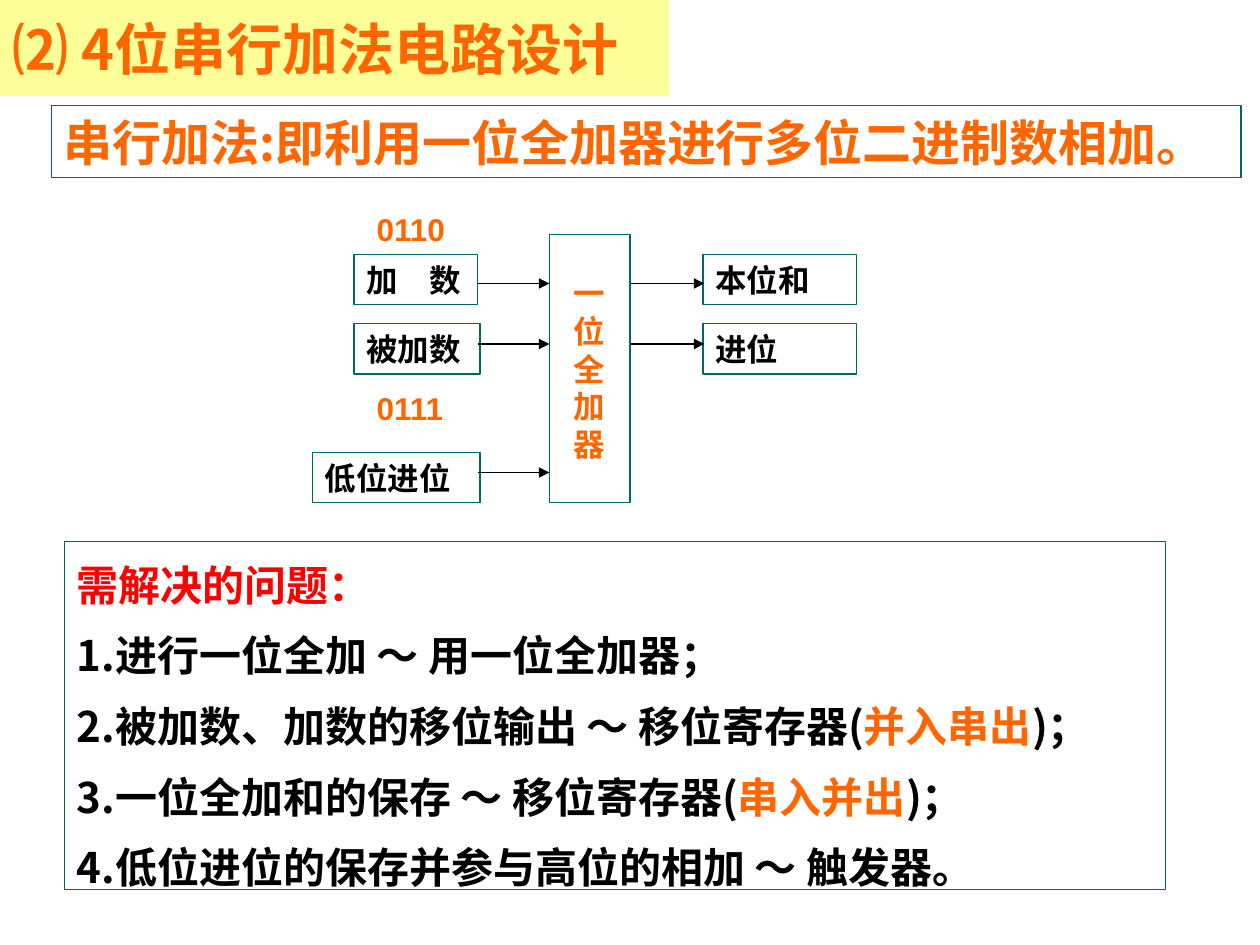
from pptx import Presentation
from pptx.dml.color import RGBColor
from pptx.enum.shapes import MSO_CONNECTOR, MSO_SHAPE
from pptx.enum.text import MSO_ANCHOR, PP_ALIGN
from pptx.oxml.ns import qn
from pptx.util import Inches, Pt

CJK_FONT, LATIN_FONT = "Noto Sans CJK SC", "Arial"
ORANGE, RED, BLACK = "FF6600", "FF0000", "000000"
TEAL, YELLOW = "006666", "FFFF99"

TITLE = "⑵ 4位串行加法电路设计"
DEFINITION = "串行加法:即利用一位全加器进行多位二进制数相加。"
PROBLEMS = [
    [("需解决的问题：", RED)],
    [("1.进行一位全加 ～ 用一位全加器；", BLACK)],
    [("2.被加数、加数的移位输出 ～ 移位寄存器(", BLACK), ("并入串出", ORANGE), (")；", BLACK)],
    [("3.一位全加和的保存 ～ 移位寄存器(", BLACK), ("串入并出", ORANGE), (")；", BLACK)],
    [("4.低位进位的保存并参与高位的相加 ～ 触发器。", BLACK)],
]

ADDER = ("一位全加器", (4.36, 1.86, 0.64, 2.13))
SIGNAL_HEIGHT = 0.4
SIGNALS = [  # label, left, top, width
    ("加　数", 2.81, 2.02, 0.98),
    ("被加数", 2.81, 2.57, 1),
    ("低位进位", 2.48, 3.59, 1.33),
    ("本位和", 5.58, 2.02, 1.22),
    ("进位", 5.58, 2.57, 1.22),
]
OPERANDS = [("0110", 1.62), ("0111", 3.04)]  # value, top
INPUT_SPAN, INPUT_ROWS = (3.79, 4.36), (2.25, 2.73, 3.75)
OUTPUT_SPAN, OUTPUT_ROWS = (5.01, 5.59), (2.25, 2.73)


def color(value):
    return RGBColor.from_string(value)


def write(shape, paragraphs, size, font=LATIN_FONT, anchor=MSO_ANCHOR.TOP,
          align=PP_ALIGN.LEFT, spacing=None, wrap=True):
    """Fill a shape with paragraphs, each a list of (text, colour) runs."""
    frame = shape.text_frame
    frame.word_wrap = wrap
    frame.vertical_anchor = anchor
    for index, runs in enumerate(paragraphs):
        paragraph = frame.add_paragraph() if index else frame.paragraphs[0]
        paragraph.alignment = align
        if spacing:
            paragraph.line_spacing = spacing
        for text, run_color in runs:
            run = paragraph.add_run()
            run.text = text
            run.font.size = Pt(size)
            run.font.bold = True
            run.font.name = font
            run.font.color.rgb = color(run_color)
            east_asian = run.font._element.makeelement(qn("a:ea"), {"typeface": CJK_FONT})
            run.font._element.find(qn("a:latin")).addnext(east_asian)


def add_box(slide, bounds, fill=None, line=TEAL):
    shape = slide.shapes.add_shape(MSO_SHAPE.RECTANGLE, *map(Inches, bounds))
    shape.shadow.inherit = False
    if fill:
        shape.fill.solid()
        shape.fill.fore_color.rgb = color(fill)
    else:
        shape.fill.background()
    if line:
        shape.line.color.rgb = color(line)
        shape.line.width = Pt(0.75)
    else:
        shape.line.fill.background()
    return shape


def add_arrow(slide, span, y):
    start, end = span
    arrow = slide.shapes.add_connector(
        MSO_CONNECTOR.STRAIGHT, Inches(start), Inches(y), Inches(end), Inches(y))
    arrow.line.color.rgb = color(BLACK)
    arrow.line.width = Pt(0.75)
    properties = arrow._element.spPr
    line = arrow.line._get_or_add_ln()
    line.append(line.makeelement(qn("a:tailEnd"), {"type": "triangle"}))
    properties.append(properties.makeelement(qn("a:effectLst"), {}))


def main():
    presentation = Presentation()
    presentation.slide_width, presentation.slide_height = Inches(10), Inches(7.5)
    slide = presentation.slides.add_slide(presentation.slide_layouts[6])

    title = add_box(slide, (0, 0, 5.31, 0.76), fill=YELLOW, line=None)
    write(title, [[(TITLE, ORANGE)]], 32, CJK_FONT, MSO_ANCHOR.MIDDLE)
    problems = add_box(slide, (0.51, 4.3, 8.74, 2.76))
    write(problems, PROBLEMS, 24, CJK_FONT, MSO_ANCHOR.MIDDLE, spacing=1.4)
    definition = add_box(slide, (0.41, 0.84, 9.44, 0.57))
    write(definition, [[(DEFINITION, ORANGE)]], 28, CJK_FONT, wrap=False)

    adder_label, adder_bounds = ADDER
    adder = add_box(slide, adder_bounds)
    write(adder, [[(adder_label, ORANGE)]], 18, anchor=MSO_ANCHOR.MIDDLE, align=PP_ALIGN.CENTER)
    for label, left, top, width in SIGNALS:
        signal = add_box(slide, (left, top, width, SIGNAL_HEIGHT))
        write(signal, [[(label, BLACK)]], 18)
    for value, top in OPERANDS:
        operand = slide.shapes.add_textbox(*map(Inches, (2.89, top, 0.75, 0.4)))
        write(operand, [[(value, ORANGE)]], 18, wrap=False)
    for span, rows in ((INPUT_SPAN, INPUT_ROWS), (OUTPUT_SPAN, OUTPUT_ROWS)):
        for y in rows:
            add_arrow(slide, span, y)

    presentation.save("out.pptx")


if __name__ == "__main__":
    main()
